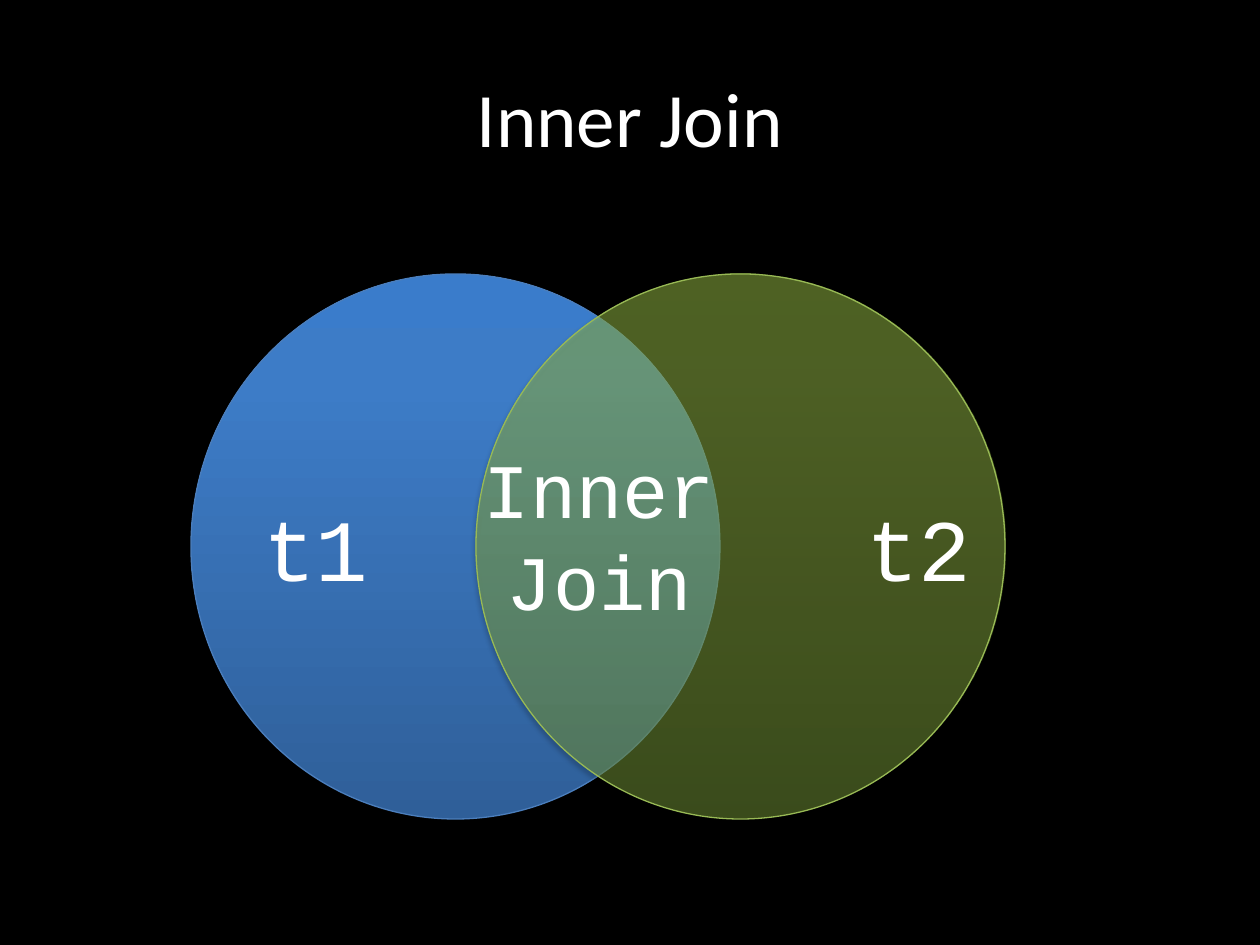
from dataclasses import dataclass

from lxml import etree
from pptx import Presentation
from pptx import util as u
from pptx.dml.color import RGBColor
from pptx.enum import shapes, text
from pptx.oxml import ns

PIXELS_PER_INCH = 126


@dataclass(frozen=True)
class Theme:
    """Colours, fonts and type sizes of the slide."""
    background: str = "000000"
    text: str = "FFFFFF"
    shadow: str = "000000"
    blue: tuple = ((0, "2F5F99"), (80, "3D7CC7"), (100, "3A7CCB"))
    blue_line: str = "4B7EBC"
    green: tuple = ((0, "779737"), (80, "9BC348"), (100, "9DC746"))
    green_line: str = "98B955"
    title_font: str = "Calibri"
    label_font: str = "Courier New"
    title_size: int = 44
    table_size: int = 50
    join_size: int = 44


THEME = Theme()


def px(pixels):
    """Turn pixels into EMU."""
    return u.Emu(round(pixels * u.Inches(1) / PIXELS_PER_INCH))


def place(shape, box):
    """Set the left, top, width and height of a shape."""
    shape.left, shape.top, shape.width, shape.height = map(px, box)


def write(shape, words, font, size, align):
    """Put one formatted paragraph into a shape."""
    shape.text_frame.text = words
    shape.text_frame.word_wrap = True
    paragraph = shape.text_frame.paragraphs[0]
    paragraph.alignment = align
    for run in paragraph.runs:
        run.font.name = font
        run.font.size = u.Pt(size)
        run.font.color.rgb = RGBColor.from_string(THEME.text)


def add_node(parent, tag, **attributes):
    """Append a drawing element with the given attributes."""
    node = etree.SubElement(parent, ns.qn(tag))
    for name, value in attributes.items():
        node.set(name, str(value))
    return node


def add_colour(parent, colour, opacity):
    """Append a colour with an opacity in percent."""
    node = add_node(parent, "a:srgbClr", val=colour)
    if opacity < 100:
        add_node(node, "a:alpha", val=opacity * 1000)


def add_shadow(shape):
    """Give a shape a soft shadow straight below it."""
    shape.shadow.inherit = False
    effects = shape._element.spPr.find(ns.qn("a:effectLst"))
    shadow = add_node(effects, "a:outerShdw", blurRad=u.Pt(3.1), dist=u.Pt(1.8),
                      dir=90 * 60000, rotWithShape=0)
    add_colour(shadow, THEME.shadow, 35)


def add_circle(slide, box, stops, line, opacity=100):
    """Add a set circle with a gradient rising from its foot."""
    circle = slide.shapes.add_shape(shapes.MSO_SHAPE.OVAL, *map(px, box))
    circle.fill.gradient()
    circle.fill.gradient_angle = 90
    stop_list = circle._element.spPr.find(".//" + ns.qn("a:gsLst"))
    for old_stop in list(stop_list):
        stop_list.remove(old_stop)
    for position, colour in stops:
        stop = add_node(stop_list, "a:gs", pos=position * 1000)
        add_colour(stop, colour, opacity)
    circle.line.color.rgb = RGBColor.from_string(line)
    circle.line.width = u.Pt(0.75)
    add_shadow(circle)


def add_label(slide, box, words, size, align=text.PP_ALIGN.LEFT):
    """Add a label in the code font."""
    label = slide.shapes.add_textbox(*map(px, box))
    write(label, words, THEME.label_font, size, align)


def add_title(slide, box, words):
    """Move and format the title placeholder."""
    title = slide.shapes.title
    place(title, box)
    write(title, words, THEME.title_font, THEME.title_size, text.PP_ALIGN.CENTER)
    title.text_frame.vertical_anchor = text.MSO_ANCHOR.MIDDLE


def main():
    """Build the slide and save it."""
    presentation = Presentation()
    presentation.slide_width, presentation.slide_height = px(1260), px(945)
    slide = presentation.slides.add_slide(presentation.slide_layouts[5])
    slide.background.fill.solid()
    slide.background.fill.fore_color.rgb = RGBColor.from_string(THEME.background)

    add_title(slide, (63, 38, 1134, 157), "Inner Join")
    circle_top, circle_width, circle_height = 274, 529, 545
    add_circle(slide, (191, circle_top, circle_width, circle_height),
               THEME.blue, THEME.blue_line)
    add_circle(slide, (476, circle_top, circle_width, circle_height),
               THEME.green, THEME.green_line, opacity=49)
    for left, name in ((251, "t1"), (854, "t2")):
        add_label(slide, (left, 488, 139, 118), name, THEME.table_size)
    add_label(slide, (461, 435, 277, 199), "Inner Join", THEME.join_size,
              text.PP_ALIGN.CENTER)
    presentation.save("out.pptx")


main()
